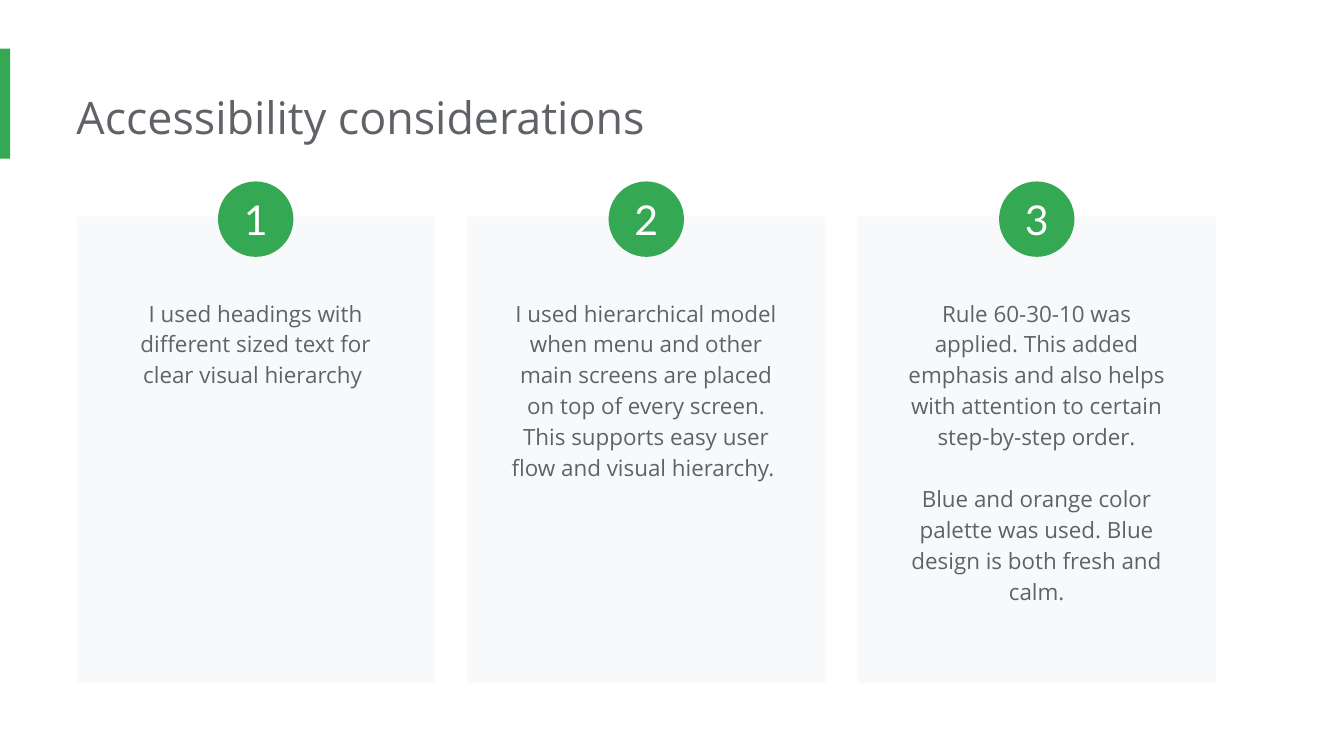
"""Build the accessibility considerations slide with three numbered cards."""
from dataclasses import dataclass

from pptx import Presentation
from pptx.dml.color import RGBColor
from pptx.enum.shapes import MSO_SHAPE
from pptx.enum.text import MSO_ANCHOR, PP_ALIGN
from pptx.util import Pt

RECTANGLE, OVAL = MSO_SHAPE.RECTANGLE, MSO_SHAPE.OVAL
LEFT, CENTER = PP_ALIGN.LEFT, PP_ALIGN.CENTER
TOP, MIDDLE = MSO_ANCHOR.TOP, MSO_ANCHOR.MIDDLE


@dataclass(frozen=True)
class Theme:
    green: RGBColor = RGBColor(0x34, 0xA8, 0x53)
    gray: RGBColor = RGBColor(0x5F, 0x63, 0x68)
    pale: RGBColor = RGBColor(0xF8, 0xF9, 0xFA)
    white: RGBColor = RGBColor(0xFF, 0xFF, 0xFF)
    body_font: str = "Open Sans"
    number_font: str = "Lato"
    title_size: float = 24
    number_size: float = 22
    body_size: float = 12


theme = Theme()
deck = Presentation()
deck.slide_width, deck.slide_height = Pt(720), Pt(405)
page = deck.slides.add_slide(deck.slide_layouts[6])


def add_block(kind, left, top, width, height, color):
    shape = page.shapes.add_shape(kind, Pt(left), Pt(top), Pt(width), Pt(height))
    shape.shadow.inherit = False
    shape.fill.solid()
    shape.fill.fore_color.rgb = color
    shape.line.fill.background()
    return shape


def write(box, paragraphs, *, size, color=theme.gray, font=theme.body_font,
          align=CENTER, anchor=TOP, spacing=1.0, gap=0, insets=(7.2, 7.2, 7.2, 7.2)):
    frame = box.text_frame
    frame.word_wrap = True
    frame.vertical_anchor = anchor
    frame.margin_left, frame.margin_top, frame.margin_right, frame.margin_bottom = map(Pt, insets)
    for index, text in enumerate(paragraphs):
        para = frame.add_paragraph() if index else frame.paragraphs[0]
        para.alignment = align
        para.line_spacing = spacing
        if index:
            para.space_before = Pt(gap)
        span = para.add_run()
        span.text = text
        span.font.name = font
        span.font.size = Pt(size)
        span.font.color.rgb = color


margin = 41
card_top, card_width, card_height, card_pitch = 116, 192, 250, 209.2
circle = 40.4
text_width = 161.3
cards = [
    (["I used headings with different sized text for clear visual hierarchy "], 63),
    (["I used hierarchical model when menu and other main screens are placed on top of "
      "every screen. This supports easy user flow and visual hierarchy. "], 113),
    (["Rule 60-30-10 was applied. This added emphasis and also helps with attention to "
      "certain step-by-step order.",
      "Blue and orange color palette was used. Blue design is both fresh and calm."], 179),
]

add_block(RECTANGLE, 0, 26, 5.5, 59, theme.green)
title = page.shapes.add_textbox(Pt(margin), Pt(41), Pt(551.5), Pt(44))
write(title, ["Accessibility considerations"], size=theme.title_size, align=LEFT,
      insets=(0, 7.2, 7.2, 7.2))

for number, (paragraphs, text_height) in enumerate(cards, start=1):
    left = margin + (number - 1) * card_pitch
    middle = left + card_width / 2
    add_block(RECTANGLE, left, card_top, card_width, card_height, theme.pale)
    badge = add_block(OVAL, middle - circle / 2, 97.2, circle, circle, theme.green)
    write(badge, [str(number)], size=theme.number_size, color=theme.white,
          font=theme.number_font, anchor=MIDDLE, insets=(0, 0, 0, 0))
    body = page.shapes.add_textbox(Pt(middle - text_width / 2), Pt(151.2),
                                   Pt(text_width), Pt(text_height))
    write(body, paragraphs, size=theme.body_size, spacing=1.15, gap=16.6)

deck.save("out.pptx")
